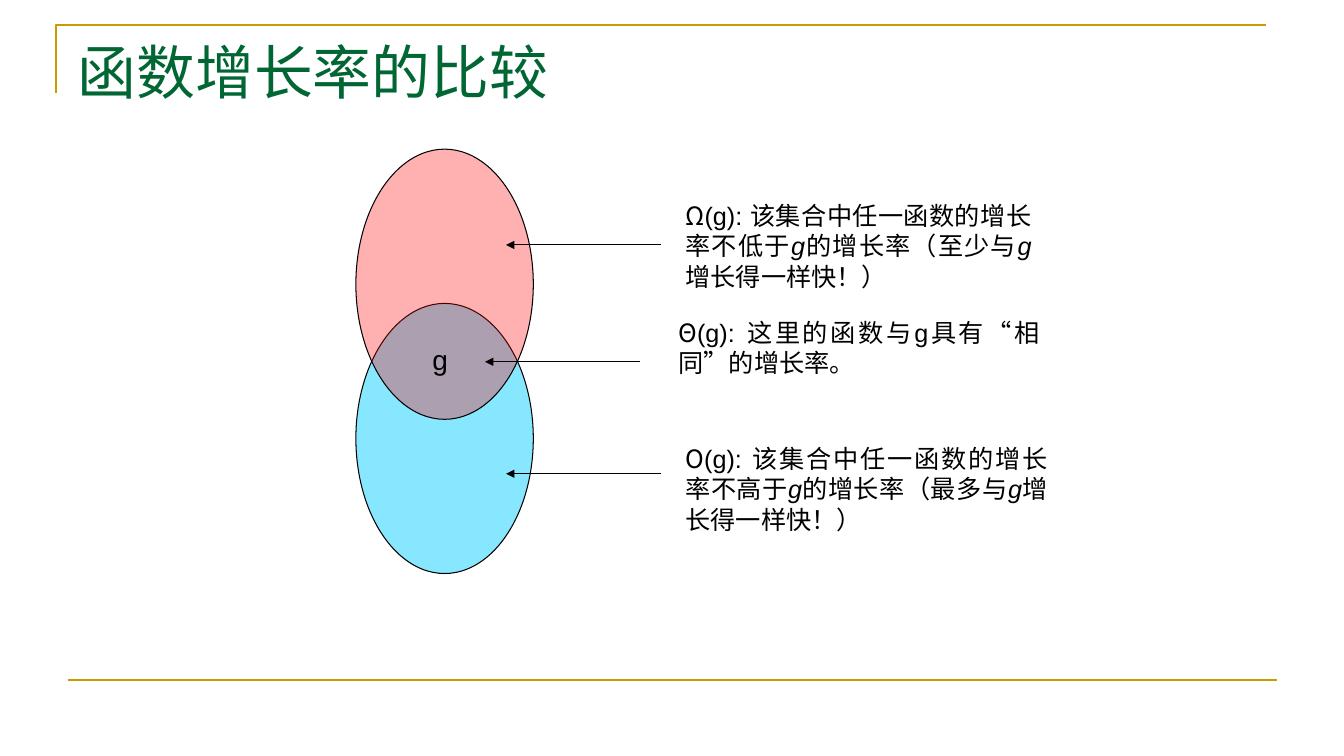
from dataclasses import dataclass

from lxml.etree import SubElement
from pptx import Presentation
from pptx.dml.color import RGBColor
from pptx.enum.shapes import MSO_CONNECTOR as Connector, MSO_SHAPE as Preset
from pptx.enum.text import MSO_ANCHOR as Anchor, PP_ALIGN as Align
from pptx.oxml.ns import qn
from pptx.util import Inches, Pt

COLORS = {
    "gold": "CC9900",
    "green": "006633",
    "black": "000000",
    "red": "FF0000",
    "blue": "00CCFF",
}
LATIN = "Arial"
CHINESE = "Noto Sans CJK SC"


@dataclass
class GrowthSet:
    top: float
    color: str
    opacity: int


@dataclass
class Span:
    text: str
    font: str = LATIN
    italic: bool = False


@dataclass
class Label:
    left: float
    top: float
    width: float
    height: float
    size: int
    spans: list[Span]


@dataclass
class Line:
    start: tuple[float, float]
    end: tuple[float, float]
    color: str = "black"
    weight: float = 0.75
    arrow: bool = False


def color_of(name: str) -> RGBColor:
    return RGBColor.from_string(COLORS[name])


def style_line(line, color: str, weight: float) -> None:
    line.color.rgb = color_of(color)
    line.width = Pt(weight)


def add_span(para, span: Span, size: int, color: str = "black") -> None:
    run = para.add_run()
    run.text = span.text
    run.font.size = Pt(size)
    run.font.name = span.font
    run.font.italic = span.italic
    run.font.bold = False
    run.font.color.rgb = color_of(color)
    SubElement(run.font._element, qn("a:ea"), typeface=CHINESE)


def draw_line(page, line: Line) -> None:
    ends = [Inches(value) for value in (*line.start, *line.end)]
    connector = page.shapes.add_connector(Connector.STRAIGHT, *ends)
    style_line(connector.line, line.color, line.weight)
    properties = connector._element.spPr
    if line.arrow:
        SubElement(properties.find(qn("a:ln")), qn("a:tailEnd"), type="triangle")
    SubElement(properties, qn("a:effectLst"))


def draw_corner(page) -> None:
    builder = page.shapes.build_freeform(Inches(0.56), Inches(0.92))
    points = [(0.56, 0.25), (12.56, 0.25)]
    builder.add_line_segments([(Inches(x), Inches(y)) for x, y in points], close=False)
    corner = builder.convert_to_shape()
    corner.shadow.inherit = False
    corner.fill.background()
    style_line(corner.line, "gold", 1.5)


def draw_set(page, growth: GrowthSet) -> None:
    ellipse = page.shapes.add_shape(
        Preset.OVAL, Inches(3.53), Inches(growth.top), Inches(1.76), Inches(2.68)
    )
    ellipse.shadow.inherit = False
    ellipse.fill.solid()
    ellipse.fill.fore_color.rgb = color_of(growth.color)
    tint = ellipse._element.spPr.find(qn("a:solidFill"))[0]
    SubElement(tint, qn("a:alpha"), val=str(growth.opacity * 1000))
    style_line(ellipse.line, "black", 0.75)


def draw_label(page, label: Label) -> None:
    box = page.shapes.add_textbox(
        Inches(label.left), Inches(label.top), Inches(label.width), Inches(label.height)
    )
    box.text_frame.word_wrap = True
    para = box.text_frame.paragraphs[0]
    para.alignment = Align.JUSTIFY
    for span in label.spans:
        add_span(para, span, label.size)


def draw_title(page) -> None:
    title = page.shapes.title
    title.left, title.top = Inches(0.67), Inches(0.3)
    title.width, title.height = Inches(12), Inches(1.25)
    title.text_frame.vertical_anchor = Anchor.TOP
    para = title.text_frame.paragraphs[0]
    para.alignment = Align.LEFT
    add_span(para, Span("函数增长率的比较", "Times New Roman"), 42, "green")


def bound_spans(symbol: str, before: str, between: str) -> list[Span]:
    g = Span("g", italic=True)
    return [
        Span(symbol, CHINESE),
        Span(f"(g): 该集合中任一函数的增长率{before}"),
        g,
        Span(f"的增长率（{between}"),
        g,
        Span("增长得一样快！）"),
    ]


SETS = [GrowthSet(3.01, "blue", 47), GrowthSet(1.48, "red", 31)]
THETA = [Span("Θ", CHINESE), Span("(g): 这里的函数与g具有“相同”的增长率。")]
LABELS = [
    Label(4.19, 3.35, 0.66, 0.96, 20, [Span("g")]),
    Label(6.7, 1.94, 3.63, 1.05, 18, bound_spans("Ω", "不低于", "至少与")),
    Label(6.63, 3.1, 3.78, 1.05, 18, THETA),
    Label(6.7, 4.35, 3.79, 1.05, 18, bound_spans("Ο", "不高于", "最多与")),
]
ARROW_LENGTH = 1.54
ARROW_STARTS = [(6.56, 2.43), (6.35, 3.59), (6.56, 4.7)]


def main() -> None:
    deck = Presentation()
    deck.slide_width, deck.slide_height = Inches(13.33), Inches(7.5)
    page = deck.slides.add_slide(deck.slide_layouts[5])
    draw_title(page)
    draw_corner(page)
    draw_line(page, Line((0.67, 6.75), (12.67, 6.75), "gold", 1.5))
    for growth in SETS:
        draw_set(page, growth)
    for label in LABELS:
        draw_label(page, label)
    for x, y in ARROW_STARTS:
        draw_line(page, Line((x, y), (x - ARROW_LENGTH, y), arrow=True))
    deck.save("out.pptx")


if __name__ == "__main__":
    main()
